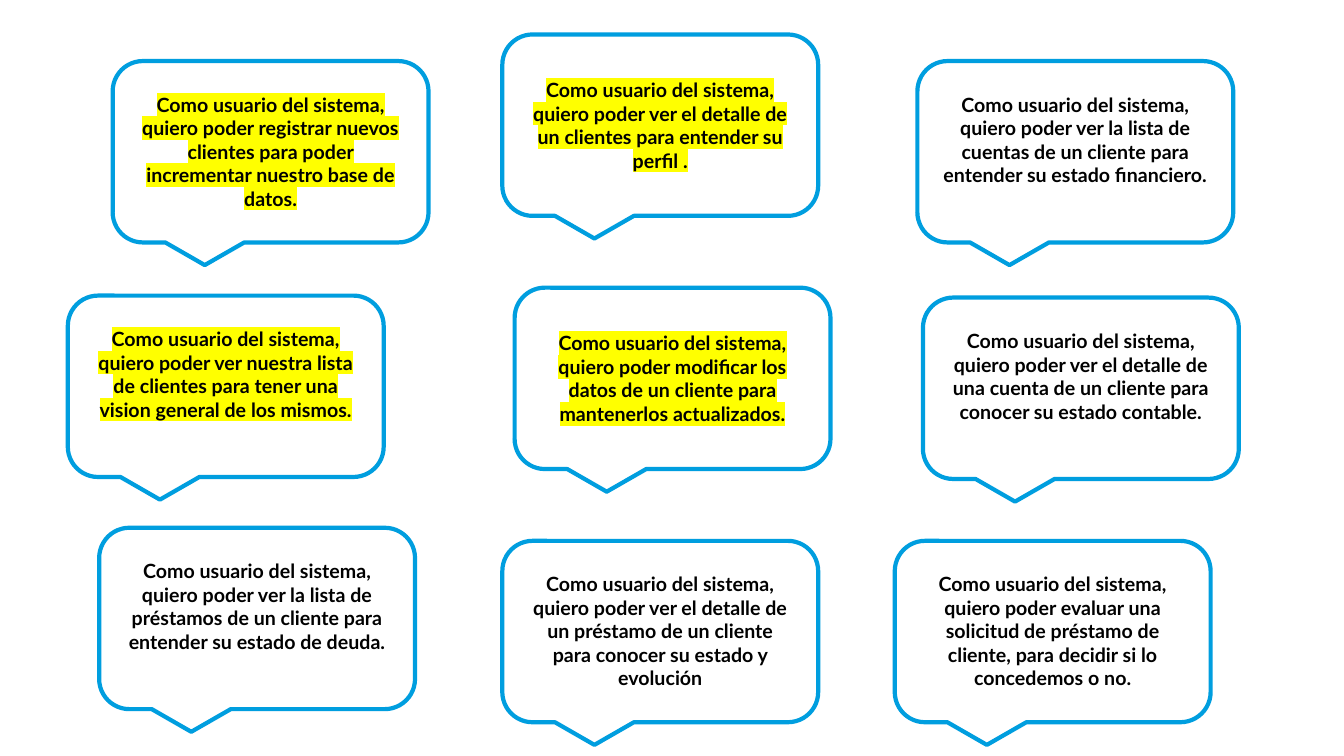
import pptx
import pptx.util
import pptx.dml.color
import pptx.enum.shapes
import pptx.enum.text
import pptx.oxml.ns
import lxml.etree

Cm, Pt = pptx.util.Cm, pptx.util.Pt
RGBColor = pptx.dml.color.RGBColor

INTRO = "Como usuario del sistema, quiero poder "
TALL, SHORT = 3.05, 2.44
STORIES = [
    (2.84, 1.54, 6.76, TALL, True, "registrar nuevos clientes para poder incrementar nuestro base de datos."),
    (12.66, 0.87, 6.63, SHORT, True, "ver el detalle de un clientes para entender su perfil ."),
    (23.12, 1.54, 6.73, TALL, False, "ver la lista de cuentas de un cliente para entender su estado financiero."),
    (1.71, 7.45, 6.68, TALL, True, "ver nuestra lista de clientes para tener una vision general de los mismos."),
    (12.97, 7.25, 6.6, SHORT, True, "modificar los datos de un cliente para mantenerlos actualizados."),
    (23.26, 7.5, 6.93, TALL, False, "ver el detalle de una cuenta de un cliente para conocer su estado contable."),
    (2.5, 13.3, 6.86, TALL, False, "ver la lista de préstamos de un cliente para entender su estado de deuda."),
    (12.66, 13.63, 6.63, TALL, False, "ver el detalle de un préstamo de un cliente para conocer su estado y evolución"),
    (22.55, 13.63, 6.6, TALL, False, "evaluar una solicitud de préstamo de cliente, para decidir si lo concedemos o no."),
]
BUBBLE_W, BUBBLE_H = 7.96, 4.57
BLUE = RGBColor(0x00, 0x9E, 0xDF)
BLACK = RGBColor(0x00, 0x00, 0x00)
YELLOW = RGBColor(0xFF, 0xFF, 0x00)


def add_text(tf, text, size=14, font="Lato", color=BLACK, bold=True, highlight=None):
    p = tf.paragraphs[0]
    p.alignment = pptx.enum.text.PP_ALIGN.CENTER
    p.space_before = Pt(1)
    r = p.add_run()
    r.text = text
    r.font.size = Pt(size)
    r.font.name = font
    r.font.bold = bold
    r.font.color.rgb = color
    if highlight is not None:
        qn = pptx.oxml.ns.qn
        mark = lxml.etree.Element(qn("a:highlight"))
        lxml.etree.SubElement(mark, qn("a:srgbClr"), val=str(highlight))
        r.font._element.find(qn("a:solidFill")).addnext(mark)


def add_bubble(slide, x, y):
    sp = slide.shapes.add_shape(
        pptx.enum.shapes.MSO_SHAPE.ROUNDED_RECTANGULAR_CALLOUT,
        Cm(x), Cm(y), Cm(BUBBLE_W), Cm(BUBBLE_H))
    sp.shadow.inherit = False
    sp.fill.background()
    sp.line.color.rgb = BLUE
    sp.line.width = Pt(3)


def add_story(slide, x, y, w, h, text, highlight):
    left, top = x + (BUBBLE_W - w) / 2, y + (BUBBLE_H - h) / 2
    sp = slide.shapes.add_textbox(Cm(left), Cm(top), Cm(w), Cm(h))
    tf = sp.text_frame
    tf.word_wrap = True
    tf.margin_left = tf.margin_right = tf.margin_bottom = 0
    tf.margin_top = Cm(0.03)
    add_text(tf, text, highlight=highlight)


def main():
    prs = pptx.Presentation()
    prs.slide_width, prs.slide_height = Cm(33.87), Cm(19.05)
    slide = prs.slides.add_slide(prs.slide_layouts[6])
    for x, y, w, h, marked, wish in STORIES:
        add_bubble(slide, x, y)
        add_story(slide, x, y, w, h, INTRO + wish, YELLOW if marked else None)
    prs.save("out.pptx")


if __name__ == "__main__":
    main()
